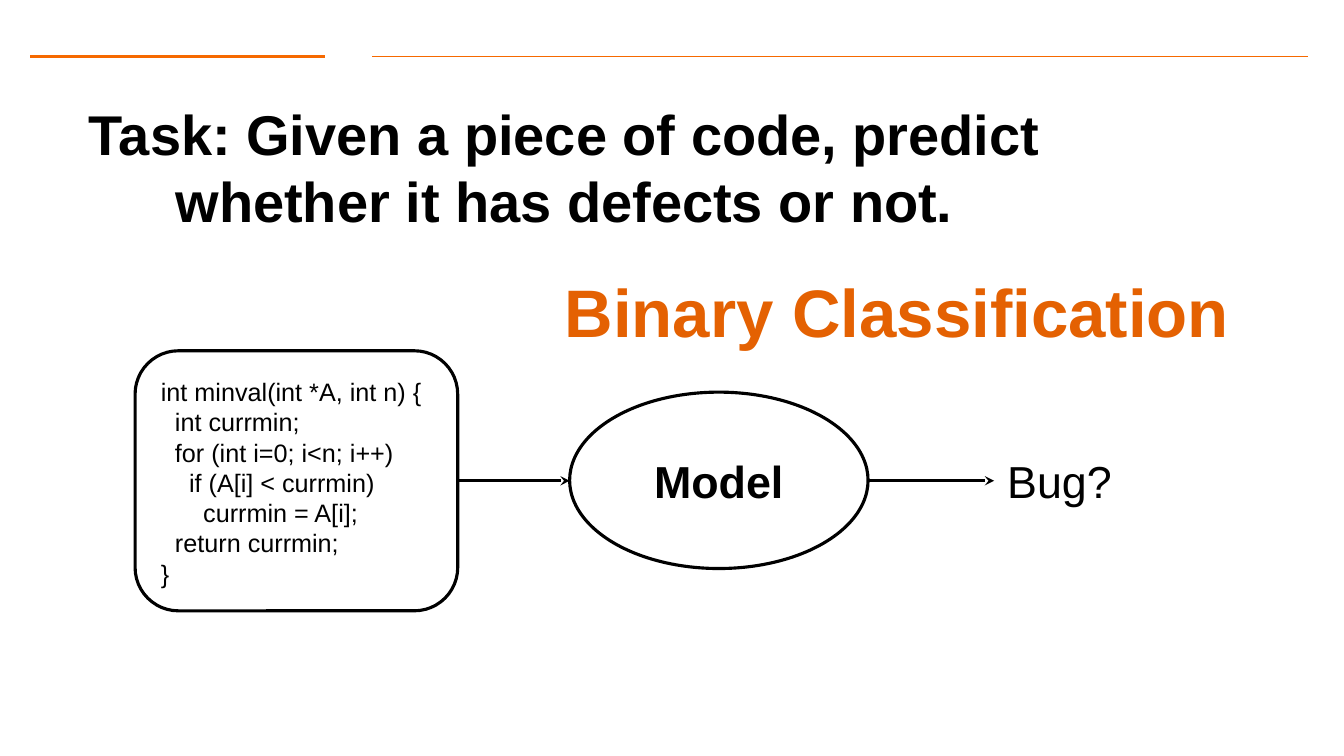
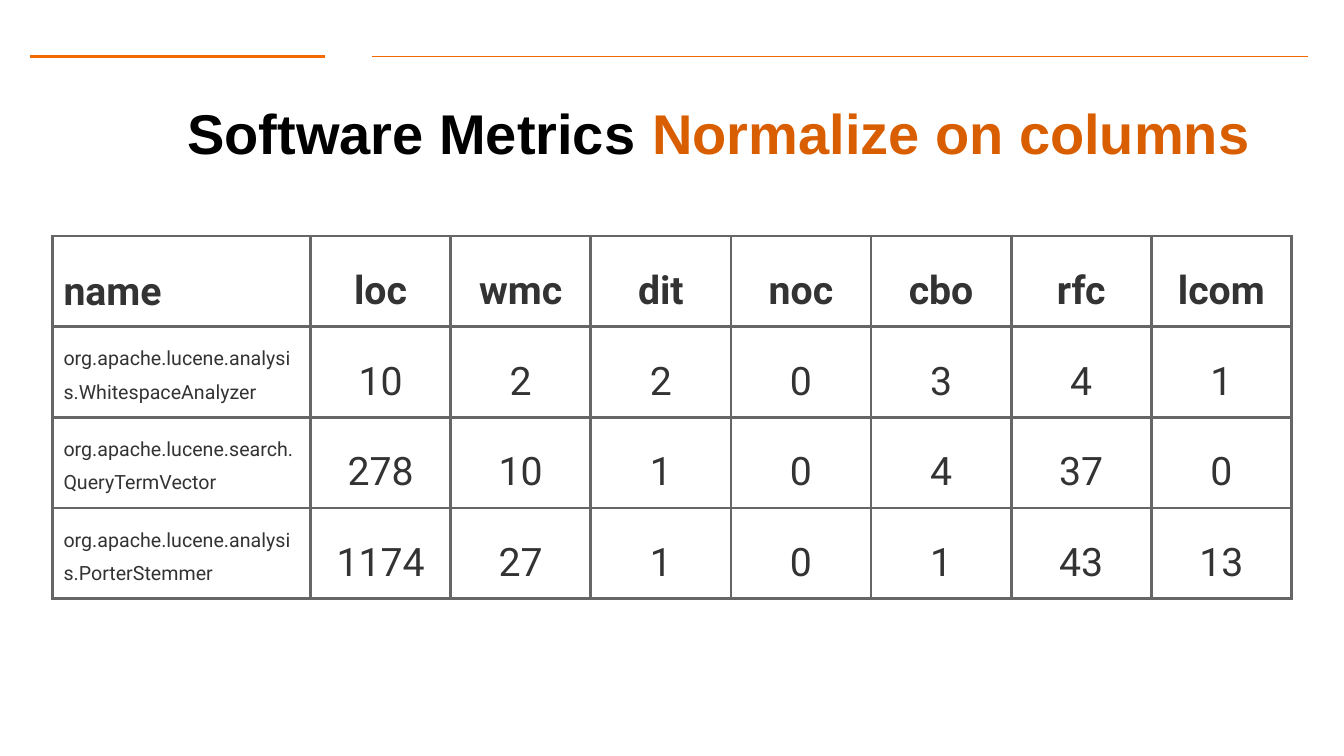
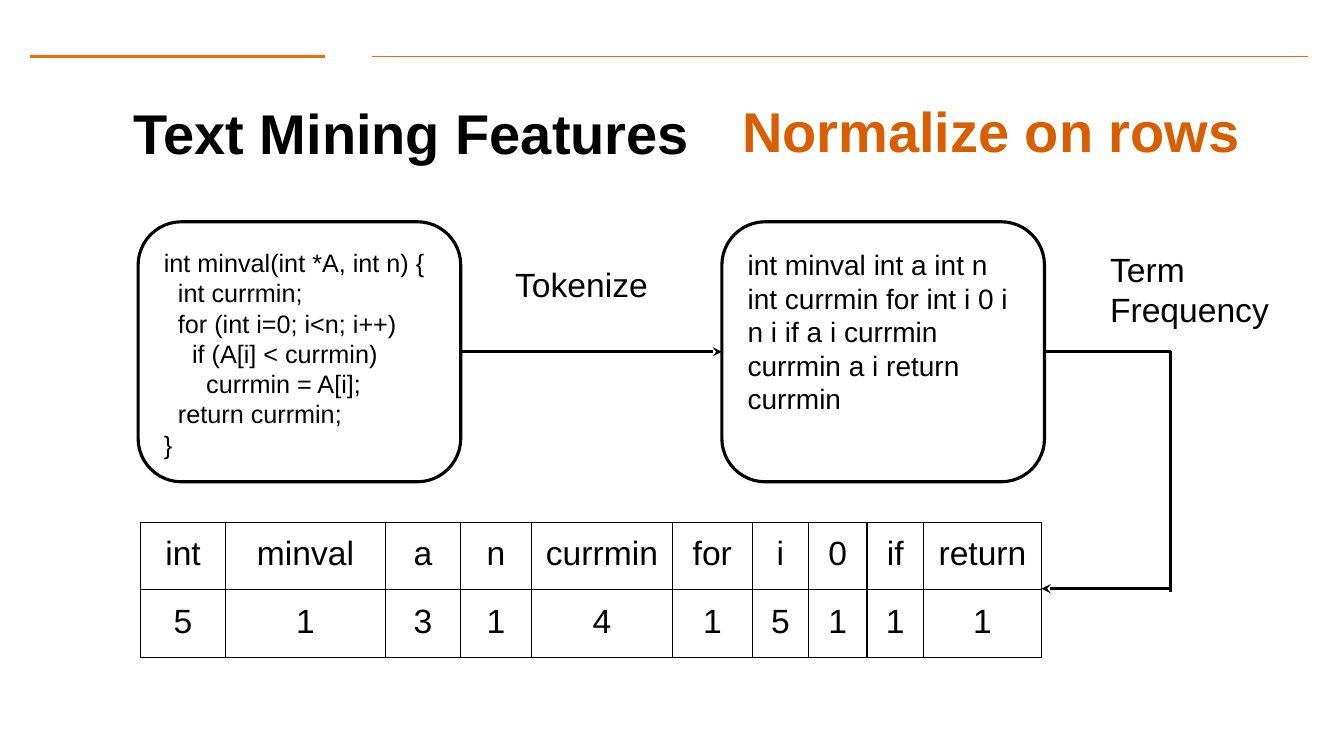
from dataclasses import dataclass
from typing import Optional

from lxml.etree import SubElement
from pptx import Presentation
from pptx.dml.color import RGBColor
from pptx.enum.shapes import MSO_CONNECTOR, MSO_SHAPE
from pptx.enum.text import MSO_ANCHOR, PP_ALIGN
from pptx.oxml.ns import qn
from pptx.util import Pt

PX = 9144  # EMU per px, 100 px to the inch

BLACK = RGBColor(0x00, 0x00, 0x00)
WHITE = RGBColor(0xFF, 0xFF, 0xFF)
RULE_ORANGE = RGBColor(0xF6, 0x69, 0x00)
CLAIM_ORANGE = RGBColor(0xE4, 0x61, 0x02)
NOTE_ORANGE = RGBColor(0xD9, 0x5E, 0x00)
GRID_GRAY = RGBColor(0x66, 0x66, 0x66)
CELL_GRAY = RGBColor(0x33, 0x33, 0x33)

INSET = 13
INDENT = 14
STROKE = 2.25


@dataclass(frozen=True)
class Box:
    left: int
    top: int
    width: int
    height: int

    @property
    def right(self) -> int:
        return self.left + self.width

    @property
    def middle(self) -> int:
        return self.top + self.height // 2

    def emu(self) -> tuple:
        return tuple(n * PX for n in (self.left, self.top, self.width, self.height))


@dataclass(frozen=True)
class Style:
    size: int
    color: RGBColor = BLACK
    bold: bool = False
    align: PP_ALIGN = PP_ALIGN.LEFT
    anchor: MSO_ANCHOR = MSO_ANCHOR.TOP
    font: str = "Arial"
    spacing: Optional[float] = None
    after: int = 0


@dataclass(frozen=True)
class CodeLine:
    text: str
    level: int = 0


@dataclass(frozen=True)
class Grid:
    """Border, fill and inset shared by all cells of a table."""
    color: RGBColor
    weight: float
    fill: Optional[RGBColor]
    inset: int


TASK = Style(40, bold=True, align=PP_ALIGN.CENTER)
TITLE = Style(40, bold=True, align=PP_ALIGN.CENTER, anchor=MSO_ANCHOR.MIDDLE)
CODE = Style(18)
LABEL = Style(24)
TITLE_BOX = Box(0, 73, 816, 117)

MINVAL = [
    CodeLine("int minval(int *A, int n) {"),
    CodeLine("int currmin;", 1),
    CodeLine("for (int i=0; i<n; i++)", 1),
    CodeLine("if (A[i] < currmin)", 2),
    CodeLine("currmin = A[i];", 3),
    CodeLine("return currmin;", 1),
    CodeLine("}"),
]

METRICS = [
    ("name", "loc", "wmc", "dit", "noc", "cbo", "rfc", "lcom"),
    ("org.apache.lucene.analysis.WhitespaceAnalyzer", 10, 2, 2, 0, 3, 4, 1),
    ("org.apache.lucene.search.QueryTermVector", 278, 10, 1, 0, 4, 37, 0),
    ("org.apache.lucene.analysis.PorterStemmer", 1174, 27, 1, 0, 1, 43, 13),
]

TERM_COUNTS = [
    ("int", "minval", "a", "n", "currmin", "for", "i", "0", "if", "return"),
    (5, 1, 3, 1, 4, 1, 5, 1, 1, 1),
]


# Text
def fill_text(frame, lines: list, style: Style) -> None:
    for number, line in enumerate(lines):
        para = frame.add_paragraph() if number else frame.paragraphs[0]
        para.text = line.text
        para.alignment = style.align
        para.line_spacing = style.spacing
        para.space_after = Pt(style.after)
        if line.level:
            para._p.get_or_add_pPr().set("marL", str(line.level * INDENT * PX))
        para.font.name = style.font
        para.font.size = Pt(style.size)
        para.font.bold = style.bold
        para.font.color.rgb = style.color


def set_frame(frame, lines: list, style: Style) -> None:
    frame.word_wrap = True
    frame.vertical_anchor = style.anchor
    frame.margin_left = frame.margin_right = INSET * PX
    frame.margin_top = frame.margin_bottom = INSET * PX
    fill_text(frame, lines, style)


def add_text(page, box: Box, text: str, style: Style) -> None:
    shape = page.shapes.add_textbox(*box.emu())
    set_frame(shape.text_frame, [CodeLine(text)], style)


# Shapes and lines
def add_outline(page, kind: MSO_SHAPE, box: Box, lines: list, style: Style):
    shape = page.shapes.add_shape(kind, *box.emu())
    shape.shadow.inherit = False
    shape.fill.background()
    shape.line.color.rgb = BLACK
    shape.line.width = Pt(STROKE)
    set_frame(shape.text_frame, lines, style)
    return shape


def add_line(page, start: tuple, end: tuple, color: RGBColor = BLACK,
             weight: float = STROKE, arrow: bool = False, bent: bool = False):
    kind = MSO_CONNECTOR.ELBOW if bent else MSO_CONNECTOR.STRAIGHT
    line = page.shapes.add_connector(kind, *(n * PX for n in start + end))
    line.line.color.rgb = color
    line.line.width = Pt(weight)
    properties = line._element.spPr
    if bent:
        properties.find(qn("a:prstGeom")).set("prst", "bentConnector2")
    if arrow:
        SubElement(line.get_or_add_ln(), qn("a:tailEnd"), type="stealth")
    SubElement(properties, qn("a:effectLst"))
    return line


# Tables
def set_borders(cell, grid: Grid) -> None:
    properties = cell._tc.get_or_add_tcPr()
    for side in ("L", "R", "T", "B"):
        border = SubElement(properties, qn(f"a:ln{side}"), w=str(Pt(grid.weight)))
        solid = SubElement(border, qn("a:solidFill"))
        SubElement(solid, qn("a:srgbClr"), val=str(grid.color))


def add_grid(page, left: int, top: int, widths: list, row_height: int,
             rows: list, grid: Grid, style_of) -> None:
    box = Box(left, top, sum(widths), row_height * len(rows))
    table = page.shapes.add_table(len(rows), len(widths), *box.emu()).table
    table.first_row = table.horz_banding = False
    for column, width in zip(table.columns, widths):
        column.width = width * PX
    for r, values in enumerate(rows):
        table.rows[r].height = row_height * PX
        for c, value in enumerate(values):
            cell = table.cell(r, c)
            style = style_of(r, c)
            set_borders(cell, grid)
            if grid.fill is None:
                cell.fill.background()
            else:
                cell.fill.solid()
                cell.fill.fore_color.rgb = grid.fill
            cell.margin_left = cell.margin_right = grid.inset * PX
            cell.margin_top = cell.margin_bottom = grid.inset * PX
            cell.vertical_anchor = style.anchor
            fill_text(cell.text_frame, [CodeLine(str(value))], style)


def metric_style(row: int, column: int) -> Style:
    name = column == 0
    header = row == 0
    if name:
        anchor = MSO_ANCHOR.BOTTOM if header else MSO_ANCHOR.TOP
    else:
        anchor = MSO_ANCHOR.MIDDLE
    return Style(14 if name and not header else 28, CELL_GRAY, header,
                 PP_ALIGN.LEFT if name else PP_ALIGN.CENTER, anchor,
                 "Roboto", 1.43, 15)


def term_style(row: int, column: int) -> Style:
    return Style(24, align=PP_ALIGN.CENTER)


# Pages
def add_page(deck):
    page = deck.slides.add_slide(deck.slide_layouts[6])
    add_line(page, (30, 56), (322, 56), RULE_ORANGE, 2)
    add_line(page, (369, 56), (1297, 56), RULE_ORANGE, 1)
    return page


def build_task(deck) -> None:
    page = add_page(deck)
    add_text(page, Box(4, 86, 1111, 134),
             "Task: Given a piece of code, predict whether it has defects or not.", TASK)
    code_box = Box(134, 348, 320, 258)
    model_box = Box(565, 389, 296, 175)
    answer_box = Box(986, 442, 245, 70)
    code = add_outline(page, MSO_SHAPE.ROUNDED_RECTANGLE, code_box, MINVAL, CODE)
    add_outline(page, MSO_SHAPE.OVAL, model_box, [CodeLine("Model")],
                Style(32, bold=True, align=PP_ALIGN.CENTER, anchor=MSO_ANCHOR.MIDDLE))
    level = code_box.middle
    feed = add_line(page, (code_box.right, level), (model_box.left, level), arrow=True)
    feed.begin_connect(code, 3)
    answer = add_line(page, (model_box.right, level), (answer_box.left, level), arrow=True)
    add_text(page, answer_box, "Bug?", Style(32, anchor=MSO_ANCHOR.MIDDLE))
    add_text(page, Box(547, 255, 713, 103), "Binary Classification",
             Style(48, CLAIM_ORANGE, True))


def build_metrics(deck) -> None:
    page = add_page(deck)
    add_text(page, TITLE_BOX, "Software Metrics", TITLE)
    add_grid(page, 52, 234, [256] + [139] * 7, 90, METRICS,
             Grid(GRID_GRAY, STROKE, WHITE, 11), metric_style)
    add_text(page, Box(634, 67, 690, 128), "Normalize on columns",
             Style(40, NOTE_ORANGE, True, anchor=MSO_ANCHOR.MIDDLE))


def build_text_mining(deck) -> None:
    page = add_page(deck)
    add_text(page, TITLE_BOX, "Text Mining Features", TITLE)
    code_box = Box(137, 220, 320, 258)
    token_box = Box(716, 220, 320, 258)
    code = add_outline(page, MSO_SHAPE.ROUNDED_RECTANGLE, code_box, MINVAL, CODE)
    tokens = add_outline(
        page, MSO_SHAPE.ROUNDED_RECTANGLE, token_box,
        [CodeLine("int minval int a int n int currmin for int i 0 i n i if a i "
                  "currmin currmin a i return currmin")], Style(20))
    widths = [85, 158, 75, 70, 140, 79, 56, 58, 56, 117]
    table_left = 139
    add_grid(page, table_left, 518, widths, 67, TERM_COUNTS,
             Grid(BLACK, 1, None, INSET), term_style)

    # Flow from code to tokens to counts
    level = code_box.middle
    tokenize = add_line(page, (code_box.right, level), (token_box.left, level), arrow=True)
    tokenize.begin_connect(code, 3)
    tokenize.end_connect(tokens, 1)
    turn = 1161
    add_line(page, (token_box.right, level), (turn, 587), bent=True)
    add_line(page, (turn, 584), (table_left + sum(widths), 584), arrow=True)

    add_text(page, Box(498, 249, 177, 77), "Tokenize", LABEL)
    add_text(page, Box(1088, 234, 211, 107), "Term Frequency", LABEL)
    add_text(page, Box(723, 83, 590, 128), "Normalize on rows",
             Style(40, NOTE_ORANGE, True))


def main() -> None:
    deck = Presentation()
    deck.slide_width = 1333 * PX
    deck.slide_height = 750 * PX
    build_task(deck)
    build_metrics(deck)
    build_text_mining(deck)
    deck.save("out.pptx")


if __name__ == "__main__":
    main()
